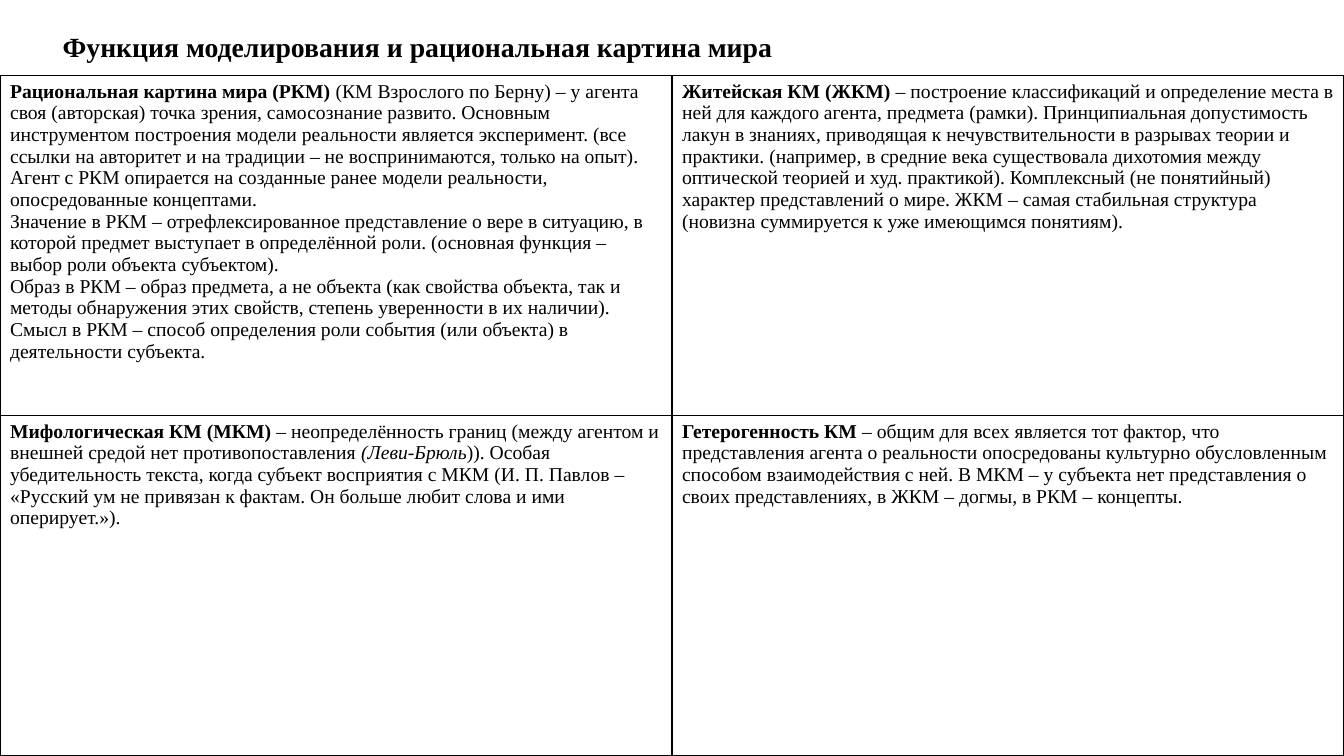
import dataclasses
import pptx
import pptx.util
import pptx.dml.color
import pptx.enum.text
import pptx.oxml
import pptx.oxml.ns

Pt = pptx.util.Pt


@dataclasses.dataclass
class Theme:
    face: str = "Times New Roman"
    ink: str = "000000"
    paper: str = "FFFFFF"
    head: float = 19.8
    body: float = 14
    rule: float = 1


class Deck:
    def __init__(self, theme, width, height):
        self.theme = theme
        self.file = pptx.Presentation()
        self.file.slide_width, self.file.slide_height = Pt(width), Pt(height)
        self.slide = self.file.slides.add_slide(self.file.slide_layouts[5])

    def style(self, para, size):
        font = para.font
        font.name, font.size = self.theme.face, Pt(size)
        font.color.rgb = pptx.dml.color.RGBColor.from_string(self.theme.ink)

    def title(self, text, left, top, width, height):
        shape = self.slide.shapes.title
        shape.left, shape.top = Pt(left), Pt(top)
        shape.width, shape.height = Pt(width), Pt(height)
        frame = shape.text_frame
        frame.text = text
        frame.word_wrap = True
        frame.auto_size = pptx.enum.text.MSO_AUTO_SIZE.NONE
        frame.vertical_anchor = pptx.enum.text.MSO_ANCHOR.MIDDLE
        para = frame.paragraphs[0]
        para.alignment = pptx.enum.text.PP_ALIGN.LEFT
        para.line_spacing = 0.9
        self.style(para, self.theme.head)
        para.font.bold = True

    def border(self, cell):
        props = cell._tc.get_or_add_tcPr()
        for side in ("lnL", "lnR", "lnT", "lnB"):
            props.append(pptx.oxml.parse_xml(
                f'<a:{side} {pptx.oxml.ns.nsdecls("a")} w="{Pt(self.theme.rule)}">'
                f'<a:solidFill><a:srgbClr val="{self.theme.ink}"/></a:solidFill>'
                f'</a:{side}>'))

    def fill(self, cell, paras):
        self.border(cell)
        cell.fill.solid()
        cell.fill.fore_color.rgb = pptx.dml.color.RGBColor.from_string(self.theme.paper)
        frame = cell.text_frame
        for index, parts in enumerate(paras):
            para = frame.add_paragraph() if index else frame.paragraphs[0]
            self.style(para, self.theme.body)
            for text, mark in parts:
                run = para.add_run()
                run.text = text
                if mark == "b":
                    run.font.bold = True
                elif mark == "i":
                    run.font.italic = True

    def table(self, rows, left, top, width, height):
        grid = self.slide.shapes.add_table(
            len(rows), len(rows[0]), Pt(left), Pt(top), Pt(width), Pt(height)).table
        grid.first_row = grid.horz_banding = False
        for y, row in enumerate(rows):
            for x, paras in enumerate(row):
                self.fill(grid.cell(y, x), paras)


REASON = [
    [("Рациональная картина мира (РКМ) ", "b"),
     ("(КМ Взрослого по Берну) – у агента своя (авторская) точка зрения, "
      "самосознание развито. Основным инструментом построения модели реальности "
      "является эксперимент. (все ссылки на авторитет и на традиции – не "
      "воспринимаются, только на опыт). Агент с РКМ опирается на созданные ранее "
      "модели реальности, опосредованные концептами.", "")],
    [("Значение в РКМ – отрефлексированное представление о вере в ситуацию, в "
      "которой предмет выступает в определённой роли. (основная функция – выбор "
      "роли объекта субъектом).", "")],
    [("Образ в РКМ – образ предмета, а не объекта (как свойства объекта, так и "
      "методы обнаружения этих свойств, степень уверенности в их наличии).", "")],
    [("Смысл в РКМ – способ определения роли события (или объекта) в "
      "деятельности субъекта.", "")],
]
COMMON = [
    [("Житейская КМ (ЖКМ) ", "b"),
     ("– построение классификаций и определение места в ней для каждого агента, "
      "предмета (рамки). Принципиальная допустимость лакун в знаниях, приводящая "
      "к нечувствительности в разрывах теории и практики. (например, в средние "
      "века существовала дихотомия между оптической теорией и худ. практикой). "
      "Комплексный (не понятийный) характер представлений о мире. ЖКМ – самая "
      "стабильная структура (новизна суммируется к уже имеющимся понятиям).", "")],
]
MYTH = [
    [("Мифологическая КМ (МКМ) ", "b"),
     ("– неопределённость границ (между агентом и внешней средой нет "
      "противопоставления ", ""),
     ("(Леви-Брюль", "i"),
     (")). Особая убедительность текста, когда субъект восприятия с МКМ "
      "(И. П. Павлов – «Русский ум не привязан к фактам. Он больше любит слова "
      "и ими оперирует.»).", "")],
]
MIXED = [
    [("Гетерогенность КМ ", "b"),
     ("– общим для всех является тот фактор, что представления агента о "
      "реальности опосредованы культурно обусловленным способом взаимодействия "
      "с ней. В МКМ – у субъекта нет представления о своих представлениях, в "
      "ЖКМ – догмы, в РКМ – концепты.", "")],
]


def main():
    width, height, top = 960, 540, 54
    deck = Deck(Theme(), width, height)
    deck.title("Функция моделирования и рациональная картина мира", 37.5, 22, 549, 25)
    deck.table([[REASON, COMMON], [MYTH, MIXED]], 0, top, width, height - top)
    deck.file.save("out.pptx")


if __name__ == "__main__":
    main()
